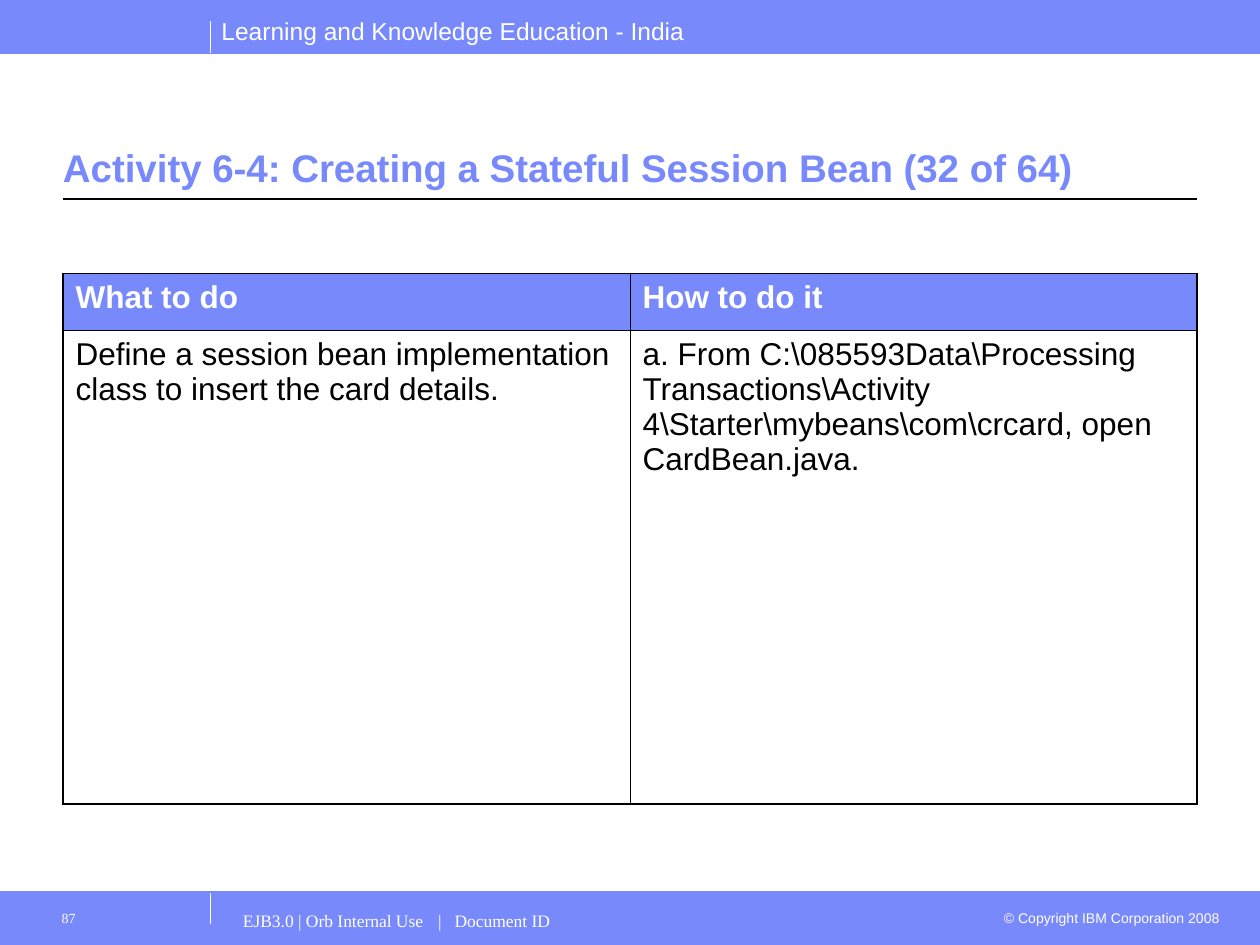
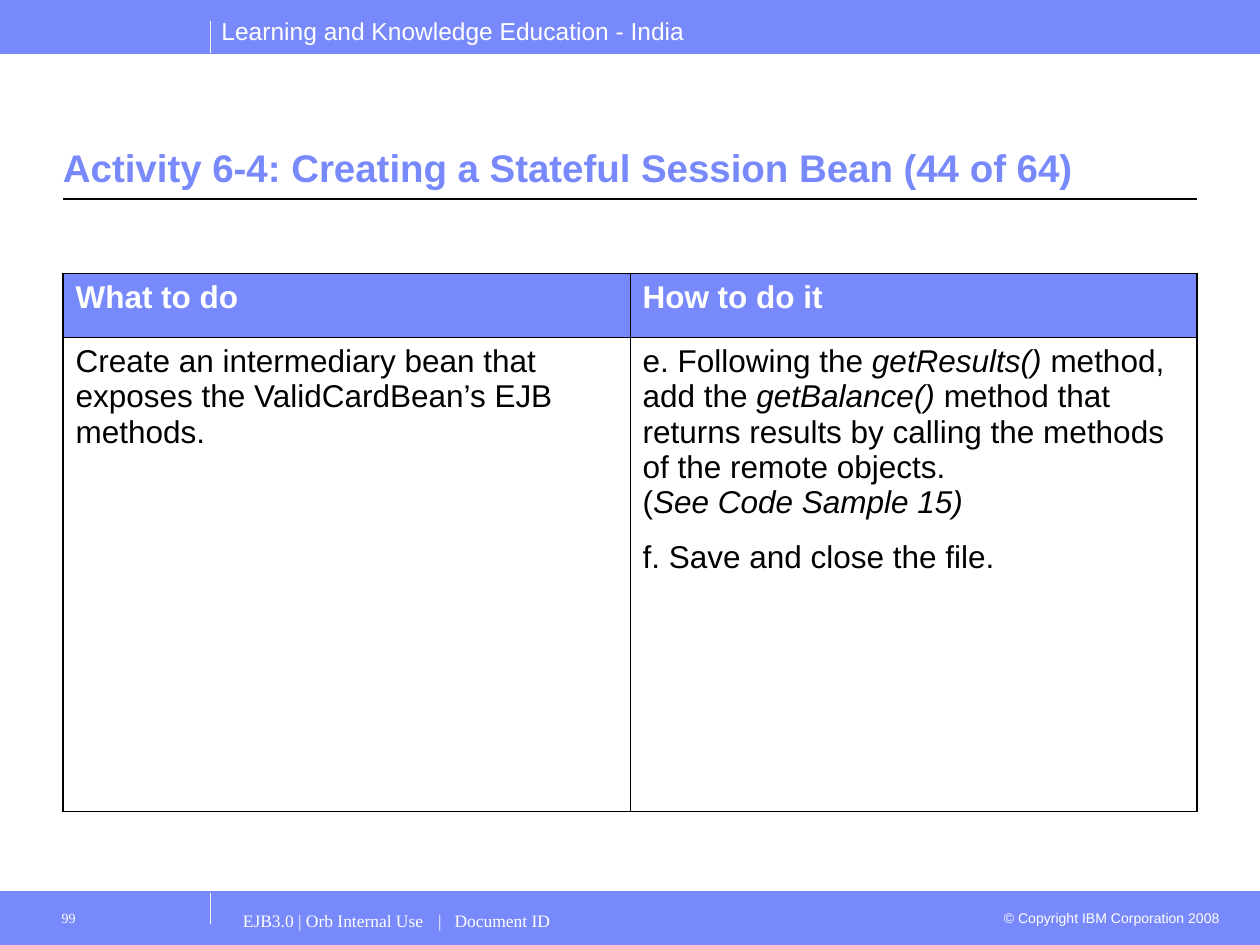
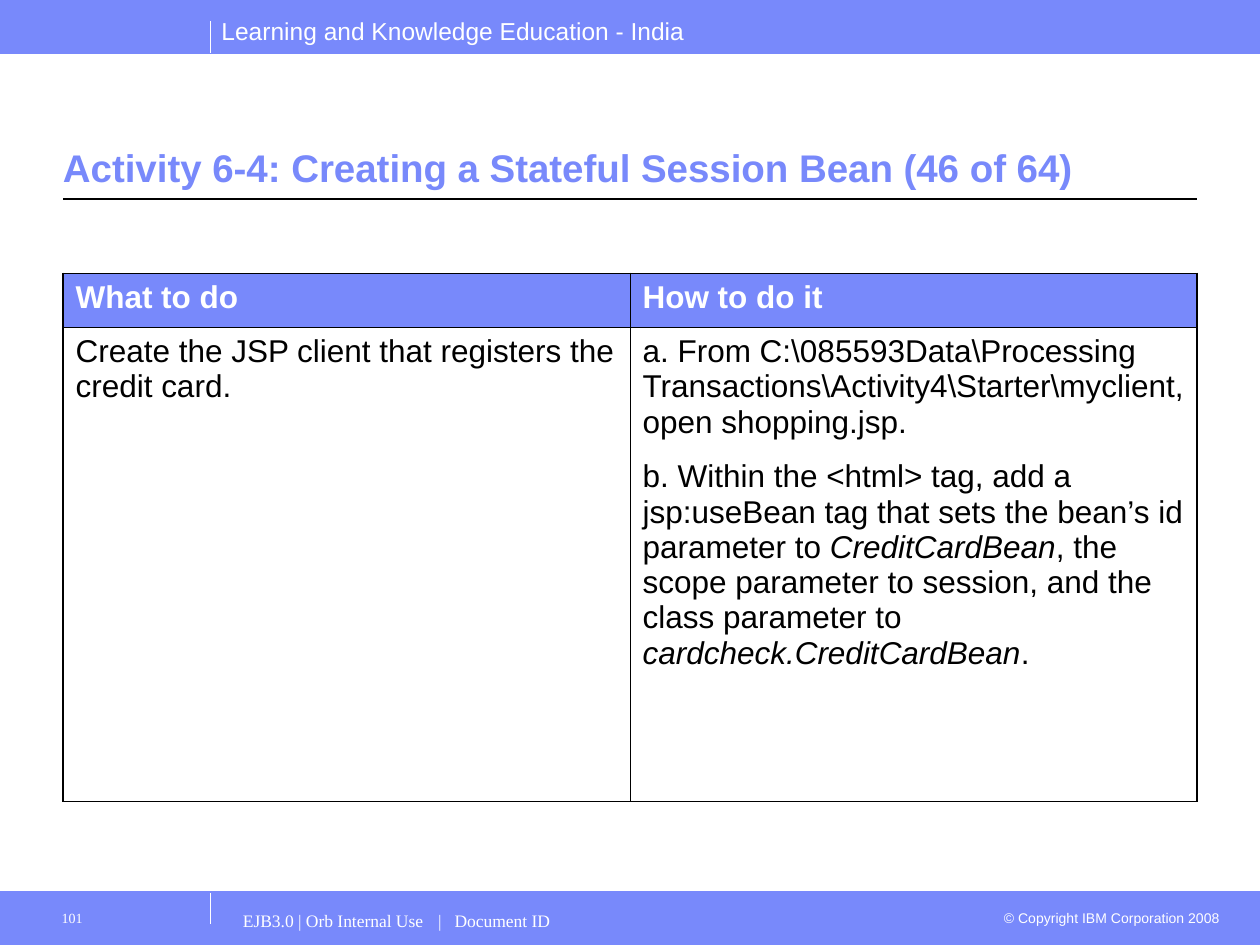
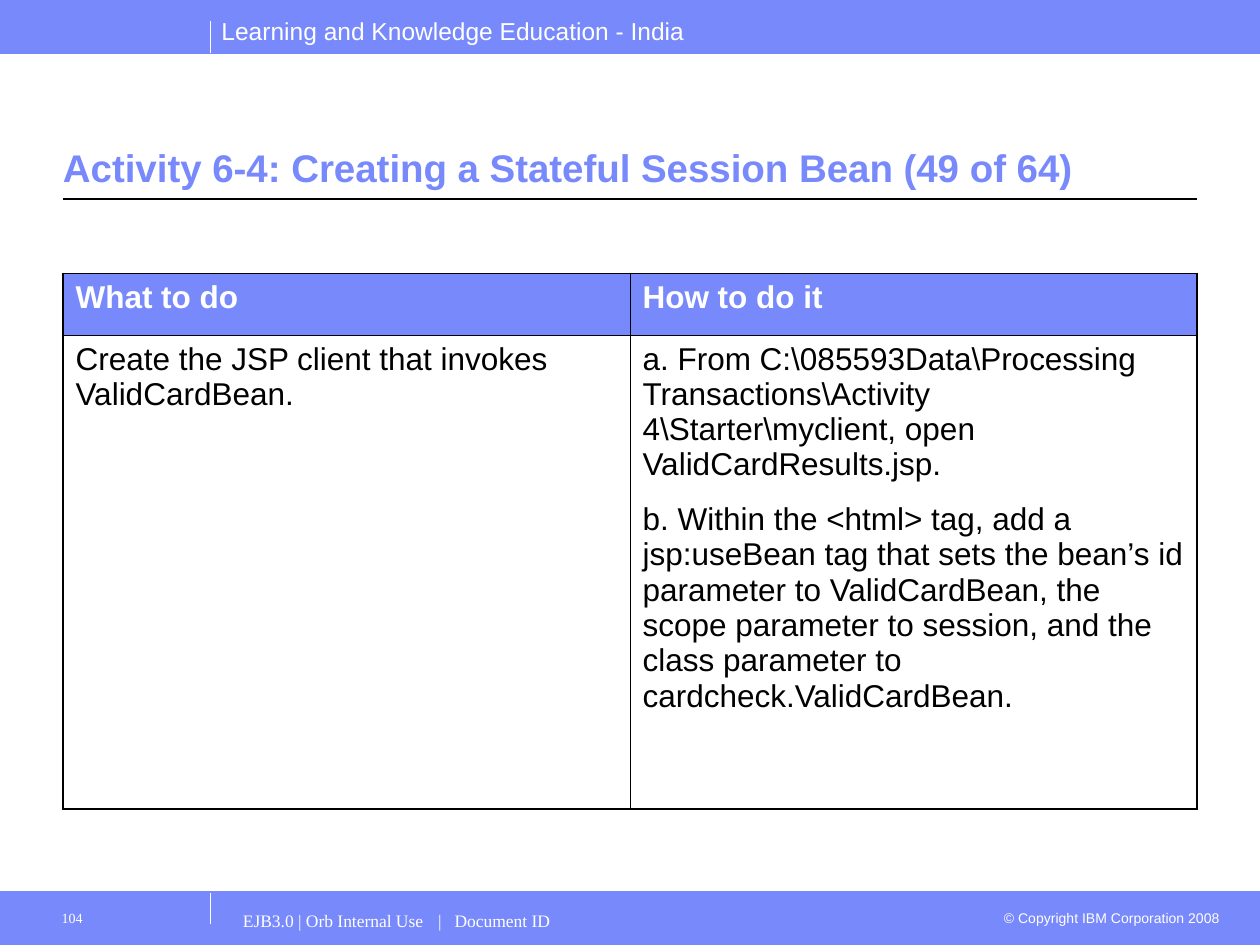
"""Build four activity slides with a shared frame and a two-column task table."""
from lxml import etree
from pptx import Presentation
from pptx.dml.color import RGBColor
from pptx.enum.shapes import MSO_CONNECTOR, MSO_SHAPE
from pptx.enum.text import MSO_ANCHOR, PP_ALIGN
from pptx.oxml.ns import qn
from pptx.util import Pt

PX = 9144
W, H, BAND = 1000, 750, 42
LEFT, WIDTH = 50, 900
TABLE_TOP, BODY_H = 217, 376
OUTER, INNER = Pt(1.08), Pt(0.45)

BLUE = RGBColor(0x78, 0x89, 0xFB)
WHITE = RGBColor(0xFF, 0xFF, 0xFF)
BLACK = RGBColor(0x00, 0x00, 0x00)
SANS, SERIF = "Arial", "Times New Roman"
RECT, STRAIGHT = MSO_SHAPE.RECTANGLE, MSO_CONNECTOR.STRAIGHT
TOP, BOTTOM = MSO_ANCHOR.TOP, MSO_ANCHOR.BOTTOM
ALIGN_L, ALIGN_R = PP_ALIGN.LEFT, PP_ALIGN.RIGHT

HEADS = ["What to do", "How to do it"]
FOOTER_TABS = [155, 168]
LINES = [
    (167, 733, 167, 708, WHITE, 0.75),
    (0, BAND, W, BAND, BLUE, 0.5),
    (0, H - BAND, W, H - BAND, BLUE, 0.5),
    (LEFT, 158, LEFT + WIDTH, 158, BLACK, 0.75),
    (167, 42, 167, 17, WHITE, 0.75),
]
SLIDES = [
    (32, 87, 45,
     "Define a session bean implementation class to insert the card details.",
     ["a. From C:\\085593Data\\Processing Transactions\\Activity "
      "4\\Starter\\mybeans\\com\\crcard, open CardBean.java."]),
    (44, 99, 51,
     "Create an intermediary bean that exposes the ValidCardBean’s EJB methods.",
     ["e. Following the *getResults()* method, add the *getBalance()* method that "
      "returns results by calling the methods of the remote objects.\n"
      "(*See Code Sample 15)*",
      "f. Save and close the file."]),
    (46, 101, 43,
     "Create the JSP client that registers the credit card.",
     ["a. From C:\\085593Data\\Processing "
      "Transactions\\Activity4\\Starter\\myclient, open shopping.jsp.",
      "b. Within the <html> tag, add a jsp:useBean tag that sets the bean’s id "
      "parameter to *CreditCardBean*, the scope parameter to session, and the "
      "class parameter to *cardcheck.CreditCardBean*."]),
    (49, 104, 49,
     "Create the JSP client that invokes ValidCardBean.",
     ["a. From C:\\085593Data\\Processing Transactions\\Activity "
      "4\\Starter\\myclient, open ValidCardResults.jsp.",
      "b. Within the <html> tag, add a jsp:useBean tag that sets the bean’s id "
      "parameter to ValidCardBean, the scope parameter to session, and the "
      "class parameter to cardcheck.ValidCardBean."]),
]


def write(p, text, size, color, font=SANS, bold=False):
    for n, line in enumerate(text.split("\n")):
        if n:
            p.add_line_break()
        for i, part in enumerate(line.split("*")):
            if not part:
                continue
            r = p.add_run()
            r.text = part
            r.font.name, r.font.size = font, Pt(size)
            r.font.bold, r.font.italic = bold, i % 2 == 1
            r.font.color.rgb = color


def set_borders(cell, widths):
    tcPr = cell._tc.get_or_add_tcPr()
    for side, width in zip("LRTB", widths):
        ln = etree.SubElement(tcPr, qn(f"a:ln{side}"), w=str(width))
        fill = etree.SubElement(ln, qn("a:solidFill"))
        etree.SubElement(fill, qn("a:srgbClr"), val=str(BLACK))


prs = Presentation()
prs.slide_width, prs.slide_height = W * PX, H * PX

for part, number, head_h, task, steps in SLIDES:
    s = prs.slides.add_slide(prs.slide_layouts[6])

    for y in (H - BAND, 0):
        sp = s.shapes.add_shape(RECT, 0, y * PX, W * PX, BAND * PX)
        sp.shadow.inherit = False
        sp.fill.solid()
        sp.fill.fore_color.rgb = BLUE
        sp.line.color.rgb = BLUE
        sp.line.width = Pt(0.75)

    for x1, y1, x2, y2, color, width in LINES:
        ln = s.shapes.add_connector(STRAIGHT, x1 * PX, y1 * PX, x2 * PX, y2 * PX)
        ln.line.color.rgb = color
        ln.line.width = Pt(width)
        etree.SubElement(ln._element.spPr, qn("a:effectLst"))

    title = f"Activity 6-4: Creating a Stateful Session Bean ({part} of 64)"
    boxes = [
        ("Learning and Knowledge Education - India", (166, 8, 400, 34),
         (10, 5, 10), 14, WHITE, SANS, ALIGN_L, TOP),
        ("© Copyright IBM Corporation 2008", (783, 717, 195, 24),
         (10, 5, 10), 8, WHITE, SANS, ALIGN_R, TOP),
        (title, (LEFT, 64, WIDTH, 92),
         (0, 5, 0), 22, BLUE, SANS, ALIGN_L, BOTTOM),
        ("EJB3.0 | Orb Internal Use\t|\tDocument ID", (183, 715, 600, 35),
         (10, 7, 10), 10, WHITE, SERIF, ALIGN_L, TOP),
        (str(number), (33, 715, 133, 35),
         (16, 7, 10), 8, WHITE, SERIF, ALIGN_L, TOP),
    ]
    for text, at, insets, size, color, font, align, anchor in boxes:
        tf = s.shapes.add_textbox(*(v * PX for v in at)).text_frame
        tf.word_wrap, tf.vertical_anchor = True, anchor
        tf.margin_left, tf.margin_top, tf.margin_right = (v * PX for v in insets)
        tf.margin_bottom = 5 * PX
        p = tf.paragraphs[0]
        p.alignment = align
        if "\t" in text:
            tabs = etree.SubElement(p._p.get_or_add_pPr(), qn("a:tabLst"))
            for pos in FOOTER_TABS:
                etree.SubElement(tabs, qn("a:tab"), pos=str(pos * PX), algn="l")
        write(p, text, size, color, font, text == title)

    table = s.shapes.add_table(2, 2, LEFT * PX, TABLE_TOP * PX, WIDTH * PX,
                               (head_h + BODY_H) * PX).table
    table.rows[0].height, table.rows[1].height = head_h * PX, BODY_H * PX
    rows = [[[head] for head in HEADS], [[task], steps]]
    for i, row in enumerate(rows):
        for j, paras in enumerate(row):
            cell = table.cell(i, j)
            set_borders(cell, (INNER if j else OUTER, OUTER if j else INNER,
                               INNER if i else OUTER, OUTER if i else INNER))
            if i:
                cell.fill.background()
            else:
                cell.fill.solid()
                cell.fill.fore_color.rgb = BLUE
            cell.margin_left = cell.margin_right = 10 * PX
            cell.margin_top = cell.margin_bottom = 5 * PX
            tf = cell.text_frame
            for n, text in enumerate(paras):
                p = tf.add_paragraph() if n else tf.paragraphs[0]
                p.space_after = Pt(11.2)
                write(p, text, 18, BLACK if i else WHITE, bold=i == 0)

prs.save("out.pptx")
